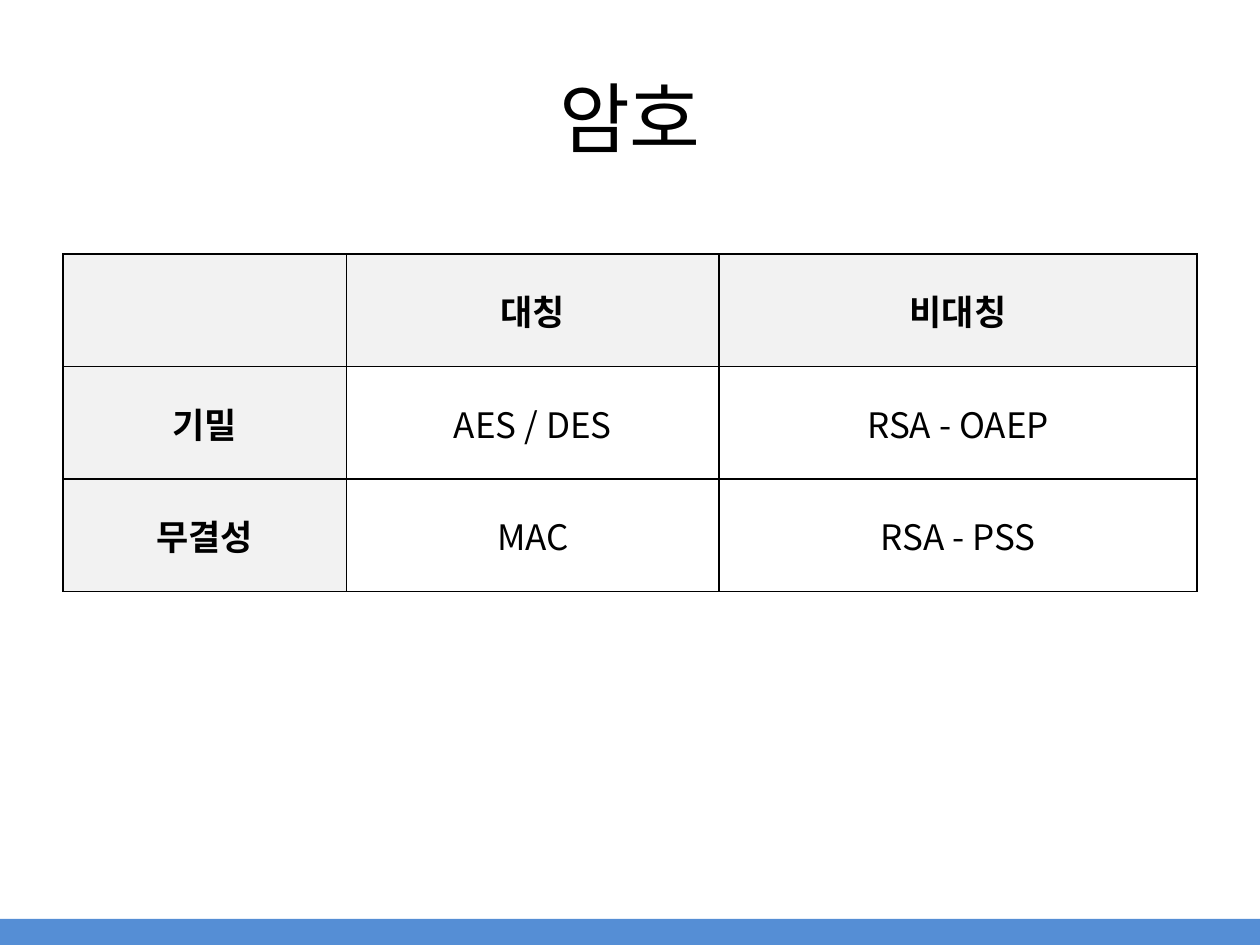
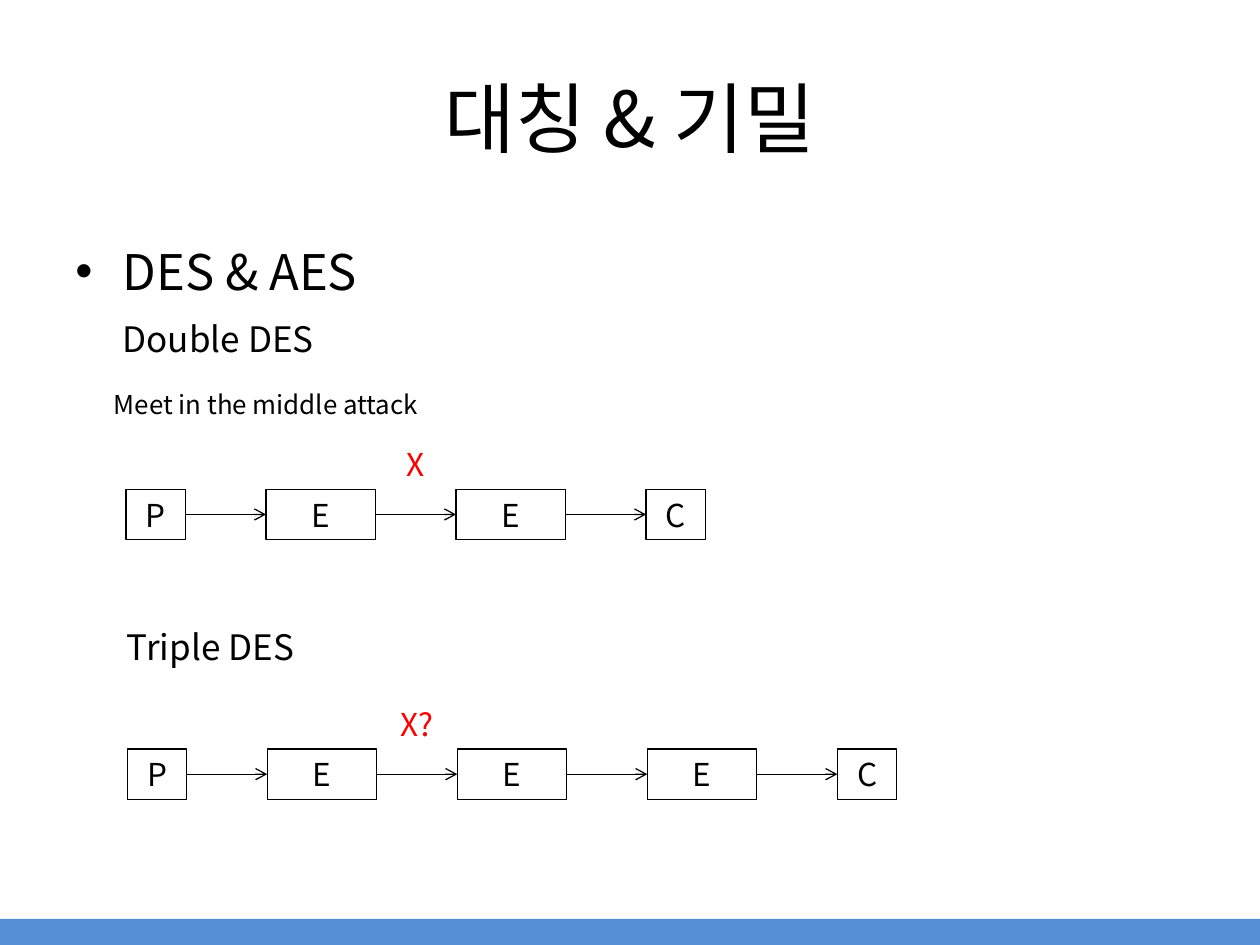
from lxml import etree
from pptx import Presentation
from pptx.dml.color import RGBColor
from pptx.enum import shapes, text
from pptx.oxml import ns
from pptx.util import Pt

FONT = "Noto Sans CJK KR"
BLACK = RGBColor(0, 0, 0)
RED = RGBColor(0xFF, 0, 0)
BAND_BLUE = RGBColor(0x55, 0x8E, 0xD5)
HEADER_GRAY = RGBColor(0xF2, 0xF2, 0xF2)

PAGE_WIDTH, PAGE_HEIGHT = 720, 540
BAND_HEIGHT = 15
BLOCK_WIDTHS = {"P": 34, "E": 62.6, "C": 34}
BLOCK_HEIGHT = 28.8
BLOCK_GAP = 46


def add_xml(parent, tag, **attributes):
    return etree.SubElement(parent, ns.qn(tag), attributes)


def format_span(span, size, color=BLACK, bold=False):
    """Style a run, using the same typeface for Latin and Korean letters."""
    font = span.font
    font.size, font.bold, font.name = Pt(size), bold, FONT
    font.color.rgb = color
    add_xml(font._element, "a:ea", typeface=FONT)


def write_centred(frame, words, size, color=BLACK, bold=False):
    frame.text = words
    frame.vertical_anchor = text.MSO_ANCHOR.MIDDLE
    para = frame.paragraphs[0]
    para.alignment = text.PP_ALIGN.CENTER
    for span in para.runs:
        format_span(span, size, color, bold)


def add_page(deck, title):
    """Add a page with the shared title and bottom band."""
    page = deck.slides.add_slide(deck.slide_layouts[5])
    heading = page.shapes.title
    heading.left, heading.top = Pt(36), Pt(21.6)
    heading.width, heading.height = Pt(648), Pt(90)
    write_centred(heading.text_frame, title, 44)

    band = page.shapes.add_shape(
        shapes.MSO_SHAPE.RECTANGLE, 0, Pt(PAGE_HEIGHT - BAND_HEIGHT),
        Pt(PAGE_WIDTH), Pt(BAND_HEIGHT))
    band.shadow.inherit = False
    band.fill.solid()
    band.fill.fore_color.rgb = BAND_BLUE
    band.line.fill.background()
    return page


def draw_borders(cell):
    """Outline a cell; the lines must precede its fill in the XML."""
    properties = cell._tc.get_or_add_tcPr()
    for side in ("a:lnL", "a:lnR", "a:lnT", "a:lnB"):
        line = add_xml(properties, side, w=str(Pt(1)))
        add_xml(add_xml(line, "a:solidFill"), "a:srgbClr", val=str(BLACK))


def add_cipher_table(page, left, top, column_widths, row_height, rows):
    table = page.shapes.add_table(
        len(rows), len(column_widths), Pt(left), Pt(top),
        Pt(sum(column_widths)), Pt(row_height * len(rows))).table
    for column, width in zip(table.columns, column_widths):
        column.width = Pt(width)
    for row_index, words_in_row in enumerate(rows):
        for column_index, words in enumerate(words_in_row):
            cell = table.cell(row_index, column_index)
            is_header = row_index == 0 or column_index == 0
            draw_borders(cell)
            if is_header:
                cell.fill.solid()
                cell.fill.fore_color.rgb = HEADER_GRAY
            else:
                cell.fill.background()
            write_centred(cell.text_frame, words, 20, bold=is_header)
            cell.vertical_anchor = text.MSO_ANCHOR.MIDDLE


def add_note(page, left, top, width, height, words, sizes, spacing,
             indent=0, bullet=False):
    """Add one paragraph whose lines take the given sizes in turn."""
    box = page.shapes.add_textbox(Pt(left), Pt(top), Pt(width), Pt(height))
    box.text_frame.word_wrap = True
    para = box.text_frame.paragraphs[0]
    para.text = words
    para.line_spacing = spacing
    properties = para._p.get_or_add_pPr()
    properties.set("marL", str(Pt(indent)))
    if bullet:
        properties.set("indent", str(Pt(-indent)))
        add_xml(properties, "a:buFont", typeface="Arial")
        add_xml(properties, "a:buChar", char="•")
    for span, size in zip(para.runs, sizes):
        format_span(span, size)


def add_block(group, left, top, label):
    block = group.shapes.add_shape(
        shapes.MSO_SHAPE.RECTANGLE, Pt(left), Pt(top),
        Pt(BLOCK_WIDTHS[label]), Pt(BLOCK_HEIGHT))
    block.shadow.inherit = False
    block.fill.background()
    block.line.color.rgb = BLACK
    block.line.width = Pt(0.75)
    write_centred(block.text_frame, label, 18)
    return block


def add_arrow(group, source, target):
    arrow = group.shapes.add_connector(
        shapes.MSO_CONNECTOR.STRAIGHT, 0, 0, 0, 0)
    arrow.begin_connect(source, 3)
    arrow.end_connect(target, 1)
    arrow.line.color.rgb = BLACK
    arrow.line.width = Pt(0.75)
    add_xml(arrow.line._get_or_add_ln(), "a:tailEnd", type="arrow")
    add_xml(arrow._element.spPr, "a:effectLst")


def add_cipher_chain(page, left, top, labels, middle_value):
    """Chain blocks with arrows, naming the value between the first two E."""
    group = page.shapes.add_group_shape()
    blocks = []
    for label in labels:
        blocks.append(add_block(group, left, top, label))
        left += BLOCK_WIDTHS[label] + BLOCK_GAP
    for source, target in zip(blocks, blocks[1:]):
        add_arrow(group, source, target)

    first, second = blocks[1:3]
    middle = (first.left + first.width + second.left) // 2
    caption = group.shapes.add_textbox(
        middle - first.width // 2, Pt(top - BLOCK_HEIGHT),
        first.width, Pt(BLOCK_HEIGHT))
    caption.text_frame.word_wrap = True
    write_centred(caption.text_frame, middle_value, 18, RED)


def build_cipher_page(deck):
    page = add_page(deck, "암호")
    add_cipher_table(page, 36, 145.2, (162, 213, 273), 64.3, (
        ("", "대칭", "비대칭"),
        ("기밀", "AES / DES", "RSA - OAEP"),
        ("무결성", "MAC", "RSA - PSS")))


def build_symmetric_page(deck):
    page = add_page(deck, "대칭 & 기밀")
    add_note(page, 36, 121, 670, 115, "DES & AES\vDouble DES", (28, 20), 1.4,
             indent=27, bullet=True)
    add_note(page, 38, 213, 670, 58, "Meet in the middle attack", (14.8,), 1.3,
             indent=20)
    add_cipher_chain(page, 72, 279.6, "PEEC", "X")
    add_note(page, 65.5, 342, 482, 115, "Triple DES", (20,), 1.5)
    add_cipher_chain(page, 72.7, 428, "PEEEC", "X?")


def main():
    deck = Presentation()
    deck.slide_width, deck.slide_height = Pt(PAGE_WIDTH), Pt(PAGE_HEIGHT)
    build_cipher_page(deck)
    build_symmetric_page(deck)
    deck.save("out.pptx")


if __name__ == "__main__":
    main()
